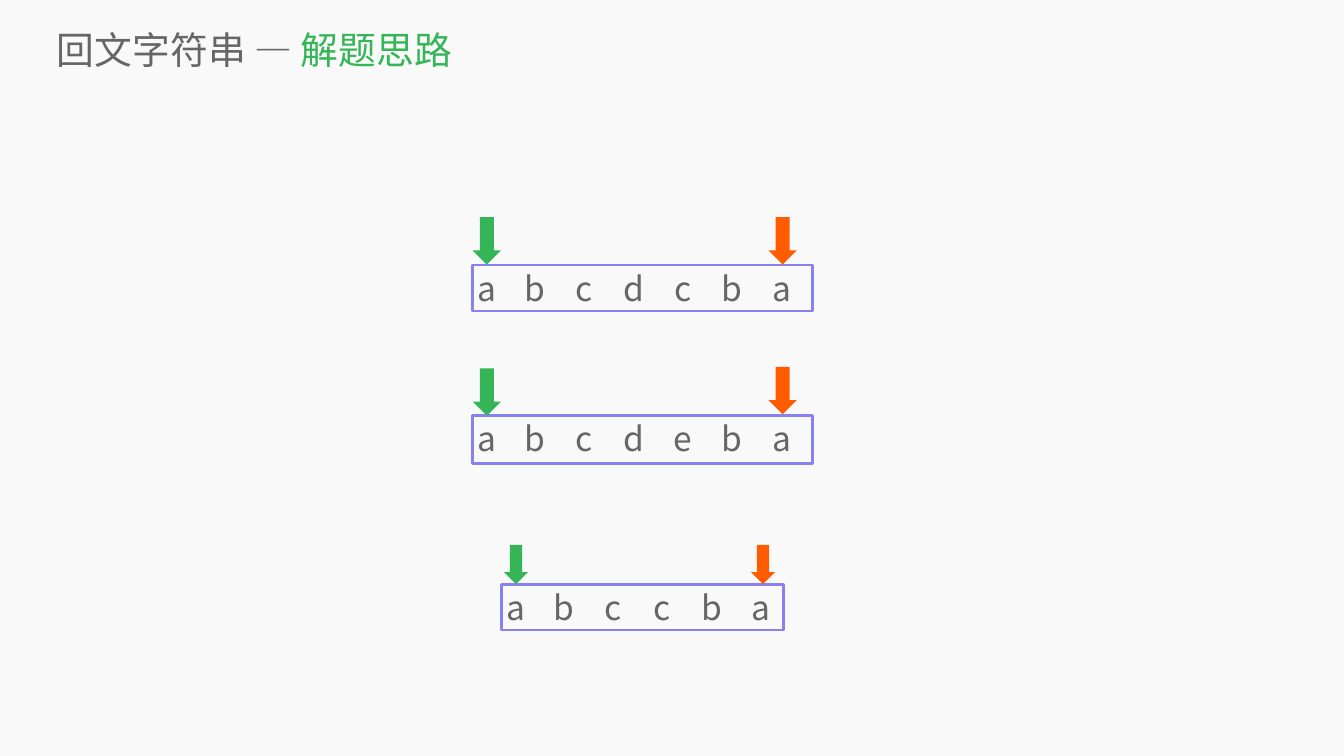
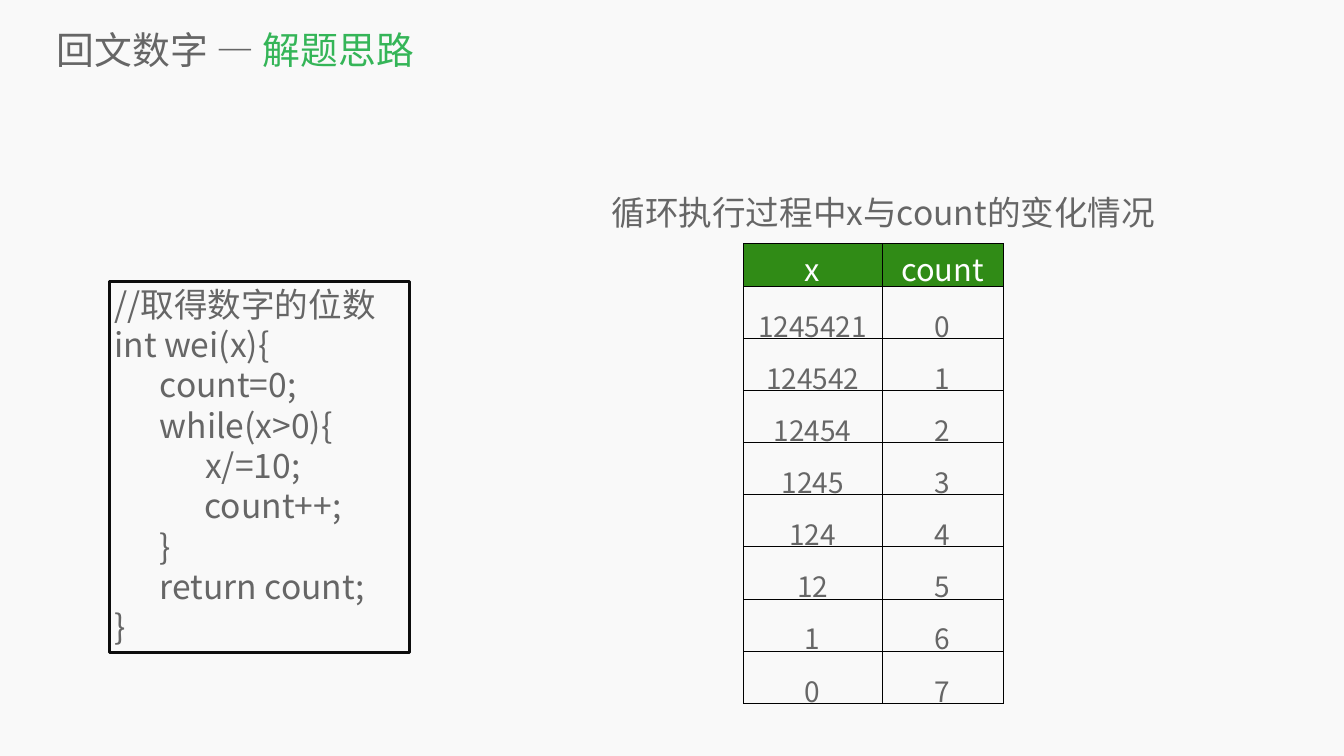
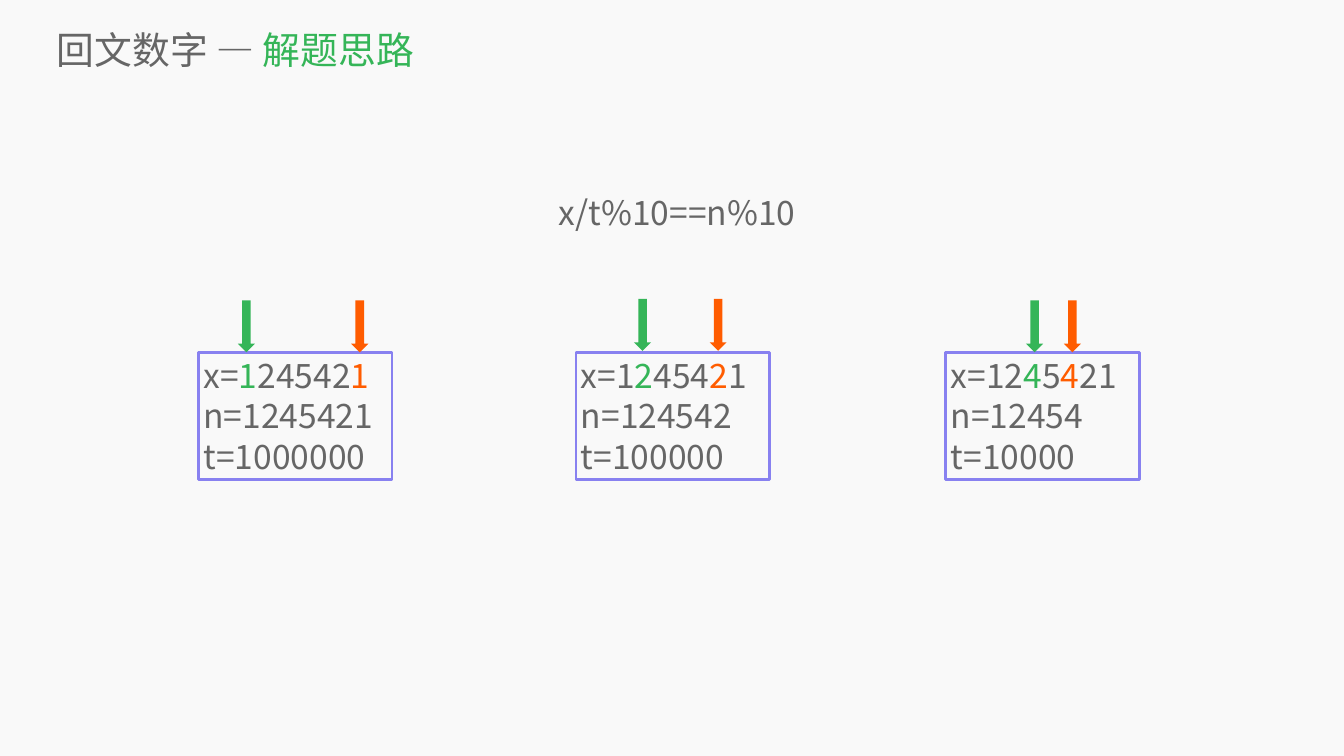
"""Build three slides on palindrome strings and palindrome numbers."""
from dataclasses import dataclass

import pptx
import pptx.dml.color
import pptx.enum.shapes
import pptx.enum.text
import pptx.oxml.ns
import pptx.oxml.xmlchemy
import pptx.util
from lxml import etree

Pt = pptx.util.Pt
ALIGN = pptx.enum.text.PP_ALIGN
ANCHOR = pptx.enum.text.MSO_ANCHOR
AUTO_SIZE = pptx.enum.text.MSO_AUTO_SIZE
SHAPE = pptx.enum.shapes.MSO_SHAPE
qn = pptx.oxml.ns.qn

FONT = "Noto Sans CJK SC"
COLORS = {
    "background": "F9F9F9",
    "text": "666666",
    "green": "35B558",
    "orange": "FF5C00",
    "frame": "8881F0",
    "code_frame": "0D0D0D",
    "header": "308B16",
    "white": "FFFFFF",
    "border": "000000",
}
BODY_SIZE = 48
LETTER_START, LETTER_PITCH = 11.7, 70.4
CODE_INDENT = 65


@dataclass(frozen=True)
class Span:
    text: str
    color: str = "text"


@dataclass(frozen=True)
class Area:
    left: float
    top: float
    width: float
    height: float


@dataclass(frozen=True)
class Arrow:
    color: str
    left: float
    top: float


@dataclass(frozen=True)
class LetterRow:
    letters: str
    area: Area
    arrows: tuple[Arrow, Arrow]
    arrow_size: tuple[float, float]


@dataclass(frozen=True)
class NumberStep:
    left: float
    first_line: tuple[Span, ...]
    n: str
    t: str
    arrows: tuple[Arrow, Arrow]


TITLE_AREA = Area(81.4, 33.8, 1811.5, 73.4)
BODY_AREA = Area(85.7, 251.3, 1748.2, 809.3)
CODE_AREA = Area(156.2, 401.8, 428.4, 530.6)
TABLE_AREA = Area(1062, 347.8, 371.5, 656.6)
NUMBER_TOP, NUMBER_WIDTH, NUMBER_HEIGHT = 503.3, 276.5, 181.4
NUMBER_ARROW = (24.5, 74.2)

LETTER_ROWS = [
    LetterRow("abcdcba", Area(675.4, 378.7, 486, 65.5),
              (Arrow("green", 675.4, 310.3), Arrow("orange", 1098, 310.3)),
              (40.3, 67.7)),
    LetterRow("abcdeba", Area(675.4, 594, 486, 67.7),
              (Arrow("green", 675.4, 526.3), Arrow("orange", 1098, 524.2)),
              (40.3, 67.7)),
    LetterRow("abccba", Area(716.4, 834.5, 402.5, 65.5),
              (Arrow("green", 720, 778.3), Arrow("orange", 1072.8, 778.3)),
              (34.6, 56.2)),
]

NUMBER_STEPS = [
    NumberStep(283.7,
               (Span("x="), Span("1", "green"), Span("24542"), Span("1", "orange")),
               "1245421", "1000000",
               (Arrow("green", 339.8, 429.1), Arrow("orange", 501.8, 429.1))),
    NumberStep(823,
               (Span("x=1"), Span("2", "green"), Span("454"),
                Span("2", "orange"), Span("1")),
               "124542", "100000",
               (Arrow("green", 905.8, 427), Arrow("orange", 1013.8, 427))),
    NumberStep(1351.4,
               (Span("x=12"), Span("4", "green"), Span("5"),
                Span("4", "orange"), Span("21")),
               "12454", "10000",
               (Arrow("green", 1465.9, 429.1), Arrow("orange", 1519.9, 429.1))),
]

CODE_LINES = [
    "//取得数字的位数",
    "int wei(x){",
    "\tcount=0;",
    "\twhile(x>0){",
    "\t\tx/=10;",
    "            count++;",
    "\t}",
    "\treturn count;",
    "}",
]


def rgb(name: str) -> pptx.dml.color.RGBColor:
    return pptx.dml.color.RGBColor.from_string(COLORS[name])


def place(shape, area: Area) -> None:
    shape.left, shape.top = Pt(area.left), Pt(area.top)
    shape.width, shape.height = Pt(area.width), Pt(area.height)


def write_spans(para, spans, size: float) -> None:
    for span in spans:
        run = para.add_run()
        run.text = span.text
        run.font.size = Pt(size)
        run.font.name = FONT
        run.font.color.rgb = rgb(span.color)
        east_asian = etree.SubElement(run.font._element, qn("a:ea"))
        east_asian.set("typeface", FONT)


def write_lines(frame, lines, size: float = BODY_SIZE) -> None:
    for index, spans in enumerate(lines):
        para = frame.add_paragraph() if index else frame.paragraphs[0]
        para.alignment = ALIGN.LEFT
        write_spans(para, spans, size)


def set_tabs(para, positions, alignment: str) -> None:
    tabs = etree.SubElement(para._p.get_or_add_pPr(), qn("a:tabLst"))
    for position in positions:
        etree.SubElement(tabs, qn("a:tab"), pos=str(Pt(position)), algn=alignment)


def prepare_placeholder(holder, area: Area, anchor) -> None:
    place(holder, area)
    frame = holder.text_frame
    frame.margin_left = frame.margin_right = 0
    frame.margin_top = frame.margin_bottom = 0
    frame.vertical_anchor = anchor
    frame.word_wrap = True
    frame.auto_size = AUTO_SIZE.NONE


def add_page(deck, topic: str):
    page = deck.slides.add_slide(deck.slide_layouts[0])
    title = page.shapes.title
    prepare_placeholder(title, TITLE_AREA, ANCHOR.MIDDLE)
    write_lines(title.text_frame,
                [(Span(f"{topic} — "), Span("解题思路", "green"))], 54)
    return page


def fill_body(page, text: str, alignment, indent: float) -> None:
    body = page.placeholders[1]
    prepare_placeholder(body, BODY_AREA, ANCHOR.TOP)
    para = body.text_frame.paragraphs[0]
    write_spans(para, [Span(text)], BODY_SIZE)
    para.alignment = alignment
    para.line_spacing = 1.4
    para.space_before = Pt(0)
    properties = para._p.get_or_add_pPr()
    properties.set("marL", str(Pt(indent)))
    properties.set("indent", "0")


def add_frame(shapes, area: Area, lines, color: str = "frame"):
    box = shapes.add_shape(SHAPE.RECTANGLE, 0, 0, 0, 0)
    place(box, area)
    box.shadow.inherit = False
    box.fill.background()
    box.line.color.rgb = rgb(color)
    box.line.width = Pt(4)
    frame = box.text_frame
    frame.word_wrap = True
    frame.vertical_anchor = ANCHOR.TOP
    frame.auto_size = AUTO_SIZE.SHAPE_TO_FIT_TEXT
    write_lines(frame, lines)
    return box


def add_arrow(shapes, arrow: Arrow, size: tuple[float, float]) -> None:
    shape = shapes.add_shape(SHAPE.DOWN_ARROW, 0, 0, 0, 0)
    place(shape, Area(arrow.left, arrow.top, *size))
    shape.shadow.inherit = False
    shape.fill.solid()
    shape.fill.fore_color.rgb = rgb(arrow.color)
    shape.line.fill.background()


def add_borders(cell) -> None:
    properties = cell._tc.get_or_add_tcPr()
    for index, side in enumerate(("lnL", "lnR", "lnT", "lnB")):
        line = etree.Element(qn(f"a:{side}"), w=str(Pt(1)))
        fill = etree.SubElement(line, qn("a:solidFill"))
        etree.SubElement(fill, qn("a:srgbClr"), val=COLORS["border"])
        properties.insert(index, line)


def add_count_table(page) -> None:
    digits = "1245421"
    rows = [("x", "count")]
    rows += [(digits[:len(digits) - count] or "0", str(count))
             for count in range(len(digits) + 1)]
    area = TABLE_AREA
    holder = page.shapes.add_table(len(rows), 2, Pt(area.left), Pt(area.top),
                                   Pt(area.width), Pt(area.height))
    table = holder.table
    table.first_row = table.horz_banding = False
    for column, width in zip(table.columns, (198, 173.5)):
        column.width = Pt(width)
    for row_index, values in enumerate(rows):
        header = row_index == 0
        table.rows[row_index].height = Pt(61.2 if header else 59.8)
        for column_index, value in enumerate(values):
            cell = table.cell(row_index, column_index)
            para = cell.text_frame.paragraphs[0]
            para.alignment = ALIGN.CENTER
            if header:
                cell.fill.solid()
                cell.fill.fore_color.rgb = rgb("header")
                write_spans(para, [Span(value, "white")], 44)
            else:
                cell.fill.background()
                para.line_spacing = 1.4
                write_spans(para, [Span(value)], 40)
            add_borders(cell)
    holder.height = Pt(area.height)


def build_string_page(deck) -> None:
    page = add_page(deck, "回文字符串")
    subtitle = page.placeholders[1]._element
    subtitle.getparent().remove(subtitle)
    for row in LETTER_ROWS:
        box = add_frame(page.shapes, row.area, [[Span("\t".join(row.letters))]])
        stops = [LETTER_START + LETTER_PITCH * index
                 for index in range(1, len(row.letters))]
        set_tabs(box.text_frame.paragraphs[0], stops, "ctr")
        for arrow in row.arrows:
            add_arrow(page.shapes, arrow, row.arrow_size)


def build_count_page(deck) -> None:
    page = add_page(deck, "回文数字")
    fill_body(page, "循环执行过程中x与count的变化情况", ALIGN.LEFT, 788)
    code = add_frame(page.shapes, CODE_AREA,
                     [[Span(line)] for line in CODE_LINES], "code_frame")
    for para in code.text_frame.paragraphs:
        set_tabs(para, (CODE_INDENT, 2 * CODE_INDENT), "l")
    add_count_table(page)


def build_compare_page(deck) -> None:
    page = add_page(deck, "回文数字")
    fill_body(page, "x/t%10==n%10", ALIGN.CENTER, 15)
    for step in NUMBER_STEPS:
        group = page.shapes.add_group_shape()
        lines = [step.first_line, [Span(f"n={step.n}")], [Span(f"t={step.t}")]]
        area = Area(step.left, NUMBER_TOP, NUMBER_WIDTH, NUMBER_HEIGHT)
        add_frame(group.shapes, area, lines)
        for arrow in step.arrows:
            add_arrow(group.shapes, arrow, NUMBER_ARROW)


def main() -> None:
    deck = pptx.Presentation()
    deck.slide_width, deck.slide_height = Pt(1920.24), Pt(1080)
    background = deck.slide_master.background.fill
    background.solid()
    background.fore_color.rgb = rgb("background")
    build_string_page(deck)
    build_count_page(deck)
    build_compare_page(deck)
    deck.save("out.pptx")


if __name__ == "__main__":
    main()
